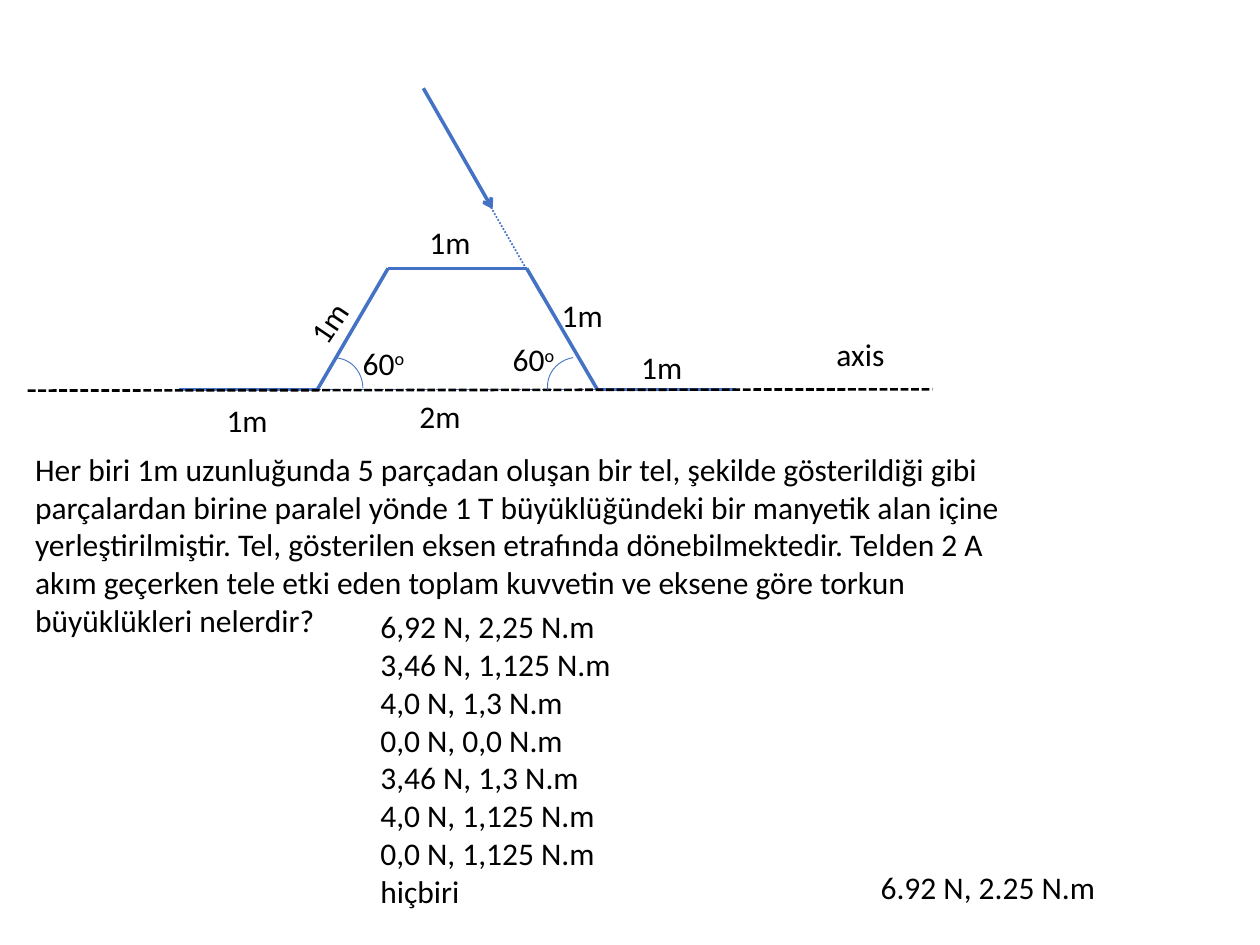
from dataclasses import dataclass
from itertools import pairwise

from lxml import etree
from pptx import Presentation
from pptx import util as u
from pptx.dml.color import RGBColor
from pptx.enum import dml, shapes, text
from pptx.oxml import ns

Point = tuple[float, float]
DASH = dml.MSO_LINE_DASH_STYLE


@dataclass(frozen=True)
class Theme:
    font: str = "Calibri"
    size: float = 18
    ink: RGBColor = RGBColor(0, 0, 0)
    blue: RGBColor = RGBColor(0x44, 0x72, 0xC4)
    thick: float = 2
    thin: float = 0.5


THEME = Theme()


@dataclass(frozen=True)
class Segment:
    start: Point
    end: Point
    color: RGBColor = THEME.blue
    width: float = THEME.thick
    dash: DASH | None = None
    arrow: bool = False


@dataclass(frozen=True)
class Label:
    lines: tuple[str, ...]
    left: float
    top: float
    width: float = 0.54
    height: float = 0.4
    rotation: float = 0
    superscript: str = ""
    wrap: bool = True


@dataclass(frozen=True)
class AngleArc:
    left: float
    top: float
    rotation: float = 0


WIRE_POINTS = [(1.42, 3.09), (2.52, 3.09), (3.08, 2.13),
               (4.18, 2.13), (4.74, 3.09), (5.84, 3.09)]
WIRE = [Segment(start, end) for start, end in pairwise(WIRE_POINTS)]
BASE = Segment(WIRE_POINTS[1], WIRE_POINTS[4], width=THEME.thin, dash=DASH.DASH)
AXIS = Segment((0.22, 3.1), (7.4, 3.09), THEME.ink, 1.5, DASH.SQUARE_DOT)
FIELD = Segment((3.36, 0.7), (3.91, 1.66), arrow=True)
FIELD_EXTENSION = Segment((4.3, 2.35), (3.75, 1.39), width=1, dash=DASH.ROUND_DOT)

ARCS = [AngleArc(2.43, 2.84), AngleArc(4.36, 2.82, 260.8)]

QUESTION = (
    "Her biri 1m uzunluğunda 5 parçadan oluşan bir tel, şekilde gösterildiği gibi "
    "parçalardan birine paralel yönde 1 T büyüklüğündeki bir manyetik alan içine "
    "yerleştirilmiştir. Tel, gösterilen eksen etrafında dönebilmektedir. Telden 2 A "
    "akım geçerken tele etki eden toplam kuvvetin ve eksene göre torkun "
    "büyüklükleri nelerdir?"
)
OPTIONS = (
    "6,92 N, 2,25 N.m", "3,46 N, 1,125 N.m", "4,0 N, 1,3 N.m", "0,0 N, 0,0 N.m",
    "3,46 N, 1,3 N.m", "4,0 N, 1,125 N.m", "0,0 N, 1,125 N.m", "hiçbiri",
)

LABELS = [
    Label(("60",), 2.78, 2.68, 0.55, superscript="o", wrap=False),
    Label(("60",), 3.97, 2.65, 0.55, superscript="o", wrap=False),
    Label(("1m",), 1.7, 3.13),
    Label(("1m",), 2.34, 2.35, rotation=304),
    Label(("1m",), 3.31, 1.72),
    Label(("1m",), 4.36, 2.3),
    Label(("1m",), 4.99, 2.71),
    Label(("2m",), 3.23, 3.1),
    Label(("axis",), 6.54, 2.61, 0.69),
    Label((QUESTION,), 0.18, 3.52, 8.12, 1.62),
    Label(OPTIONS, 2.92, 4.77, 2.88, 2.83),
    Label(("6.92 N, 2.25 N.m",), 6.89, 6.84, 2.88),
]


def draw_segment(slide, segment: Segment) -> None:
    connector = slide.shapes.add_connector(
        shapes.MSO_CONNECTOR.STRAIGHT,
        *(u.Inches(value) for value in segment.start + segment.end))
    line = connector.line
    line.color.rgb = segment.color
    line.width = u.Pt(segment.width)
    if segment.dash is not None:
        line.dash_style = segment.dash
    properties = connector.element.spPr
    if segment.arrow:
        outline = properties.find(ns.qn("a:ln"))
        etree.SubElement(outline, ns.qn("a:tailEnd"), type="arrow")
    etree.SubElement(properties, ns.qn("a:effectLst"))


def draw_arc(slide, arc: AngleArc) -> None:
    shape = slide.shapes.add_shape(
        shapes.MSO_SHAPE.ARC, u.Inches(arc.left), u.Inches(arc.top),
        u.Inches(0.45), u.Inches(0.48))
    shape.rotation = arc.rotation
    shape.shadow.inherit = False
    shape.fill.background()
    shape.line.color.rgb = THEME.blue
    shape.line.width = u.Pt(THEME.thin)


def add_run(paragraph, wording: str):
    run = paragraph.add_run()
    run.text = wording
    run.font.name = THEME.font
    run.font.size = u.Pt(THEME.size)
    run.font.color.rgb = THEME.ink
    return run


def draw_label(slide, label: Label) -> None:
    box = slide.shapes.add_textbox(
        u.Inches(label.left), u.Inches(label.top),
        u.Inches(label.width), u.Inches(label.height))
    box.rotation = label.rotation
    frame = box.text_frame
    frame.word_wrap = label.wrap
    frame.auto_size = text.MSO_AUTO_SIZE.SHAPE_TO_FIT_TEXT
    for index, wording in enumerate(label.lines):
        paragraph = frame.add_paragraph() if index else frame.paragraphs[0]
        add_run(paragraph, wording)
    if label.superscript:
        raised = add_run(paragraph, label.superscript)
        raised.font._element.set("baseline", "30000")


def main() -> None:
    presentation = Presentation()
    presentation.slide_width = u.Inches(10)
    presentation.slide_height = u.Inches(7.5)
    slide = presentation.slides.add_slide(presentation.slide_layouts[6])
    for segment in [*WIRE, BASE, AXIS, FIELD, FIELD_EXTENSION]:
        draw_segment(slide, segment)
    for arc in ARCS:
        draw_arc(slide, arc)
    for label in LABELS:
        draw_label(slide, label)
    presentation.save("out.pptx")


if __name__ == "__main__":
    main()
